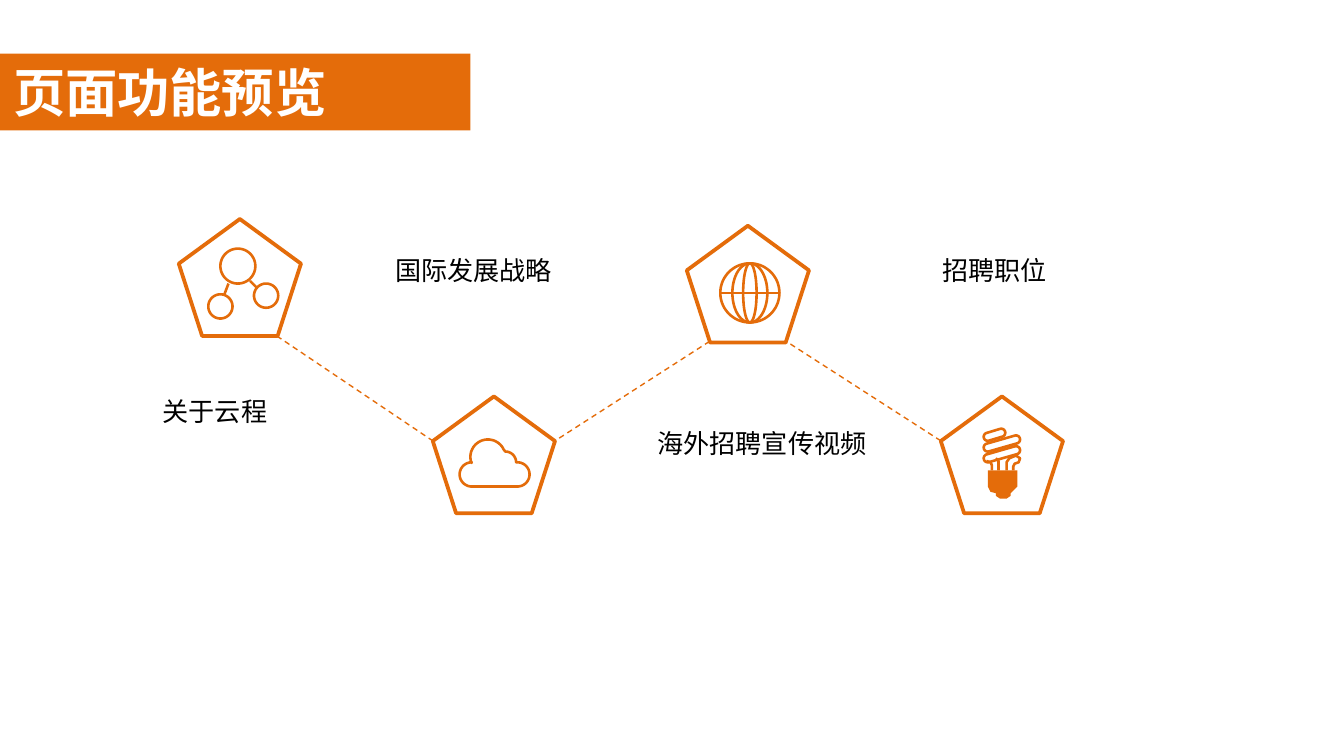
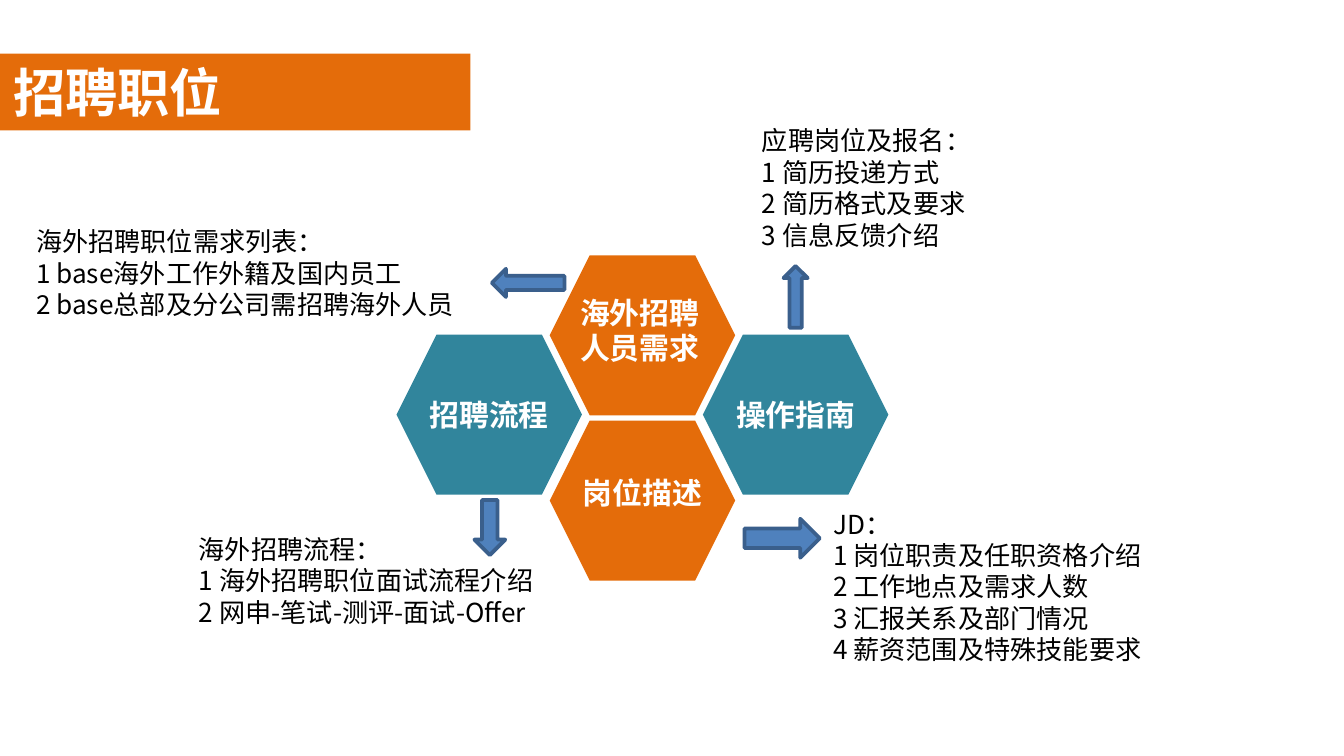
"""Builds two recruitment slides: a preview of page functions and the open positions."""
import dataclasses
import math

import lxml.etree
import pptx
import pptx.dml.color
import pptx.enum.dml
import pptx.enum.shapes
import pptx.enum.text
import pptx.oxml.ns
import pptx.util

Inches = pptx.util.Inches
SHAPE = pptx.enum.shapes.MSO_SHAPE
ALIGN = pptx.enum.text.PP_ALIGN


@dataclasses.dataclass(frozen=True)
class Theme:
    font: str = "Noto Sans CJK SC"
    orange: str = "E46C0A"
    teal: str = "31859C"
    blue: str = "4F81BD"
    navy: str = "3A5F8C"
    white: str = "FFFFFF"
    black: str = "000000"
    title: int = 28
    label: int = 16
    body: int = 14
    outline: float = 2
    icon: float = 1.4
    link: float = 0.75


theme = Theme()


def write(slide, text, box, size=theme.body, color=theme.black, bold=False,
          align=ALIGN.LEFT, wrap=True, indent=0.1):
    area = slide.shapes.add_textbox(*map(Inches, box))
    frame = area.text_frame
    frame.word_wrap = wrap
    frame.auto_size = pptx.enum.text.MSO_AUTO_SIZE.SHAPE_TO_FIT_TEXT
    frame.margin_left = Inches(indent)
    frame.text = text
    for paragraph in frame.paragraphs:
        paragraph.alignment = align
        for run in paragraph.runs:
            run.font.size = pptx.util.Pt(size)
            run.font.bold = bold
            run.font.color.rgb = pptx.dml.color.RGBColor.from_string(color)
            run.font.name = theme.font
            east_asian = lxml.etree.SubElement(
                run.font._element, pptx.oxml.ns.qn("a:ea"))
            east_asian.set("typeface", theme.font)


def paint(shape, fill=None, line=None, width=theme.outline):
    shape.shadow.inherit = False
    for part, color in ((shape.fill, fill), (shape.line.fill, line)):
        if color:
            part.solid()
            part.fore_color.rgb = pptx.dml.color.RGBColor.from_string(color)
        else:
            part.background()
    if line:
        shape.line.width = pptx.util.Pt(width)


presentation = pptx.Presentation()
presentation.slide_width = Inches(10)
presentation.slide_height = Inches(10) * 9 // 16

slides = []
for title, title_height in (("页面功能预览", 1.04), ("招聘职位", 0.57)):
    slide = presentation.slides.add_slide(presentation.slide_layouts[6])
    band = slide.shapes.add_shape(SHAPE.RECTANGLE, *map(Inches, (0, 0.4, 3.5, 0.57)))
    paint(band, theme.orange)
    write(slide, title, (0, 0.4, 3.5, title_height), theme.title, theme.white, bold=True)
    slides.append(slide)
preview, positions = slides

for left, top in ((1.33, 1.63), (3.22, 2.95), (5.11, 1.68), (7, 2.95)):
    pentagon = preview.shapes.add_shape(
        SHAPE.REGULAR_PENTAGON, *map(Inches, (left, top, 0.91, 0.87)))
    paint(pentagon, line=theme.orange)

molecule = [[(x, y, radius, radius, 0, 360)] for x, y, radius in (
    (1.77, 1.98, 0.13), (1.64, 2.28, 0.09), (1.98, 2.2, 0.09))]
molecule += [[(1.7, 2.11), (1.67, 2.19)], [(1.86, 2.09), (1.91, 2.14)]]
cloud = [[(3.51, 3.53, 0.09, 0.09, 90, 270), (3.63, 3.4, 0.13, 0.13, 160, 335),
          (3.76, 3.44, 0.08, 0.08, 270, 360), (3.85, 3.53, 0.09, 0.09, 270, 450)]]
globe = [[(5.58, 2.18, across, 0.22, 0, 360)] for across in (0.22, 0.13, 0.05)]
globe += [[(5.36, 2.18), (5.8, 2.18)]]
bulb = [[(right, y - rise, 0.03, 0.03, -106, 74), (7.35, y, 0.03, 0.03, 74, 254)]
        for right, y, rise in ((7.45, 3.25, 0.03), (7.56, 3.33, 0.06), (7.56, 3.41, 0.06))]
bulb += [
    [(7.34, 3.43), (7.37, 3.44), (7.38, 3.46), (7.38, 3.5)],
    [(7.41, 3.41), (7.43, 3.43), (7.43, 3.5)],
    [(7.49, 3.5), (7.49, 3.44), (7.51, 3.41), (7.56, 3.39), (7.59, 3.41),
     (7.58, 3.44), (7.55, 3.45), (7.54, 3.47), (7.54, 3.5)]]
bulb_base = [[(7.35, 3.5), (7.57, 3.5), (7.57, 3.62, 0, 0, 0, 0), (7.52, 3.67), (7.52, 3.69),
              (7.49, 3.71), (7.44, 3.71), (7.41, 3.69), (7.41, 3.67), (7.37, 3.66),
              (7.35, 3.62)]]

for icon, fill, line in (
        (molecule, None, theme.orange), (cloud, None, theme.orange),
        (globe, None, theme.orange), (bulb, None, theme.orange),
        (bulb_base, theme.orange, None)):
    builder = None
    for contour in icon:
        corners = []
        for x, y, *arc in contour:
            across, down, start, end = arc or (0, 0, 0, 0)
            for angle in range(start, end + 1, 5):
                turn = math.radians(angle)
                corners.append((Inches(x + across * math.cos(turn)),
                                Inches(y + down * math.sin(turn))))
        if builder:
            builder.move_to(*corners[0])
        else:
            builder = preview.shapes.build_freeform(*corners[0])
        builder.add_line_segments(corners[1:], close=bool(fill) or len(contour[0]) > 2)
    paint(builder.convert_to_shape(), fill, line, theme.icon)

for ends in ((2.06, 2.5, 3.22, 3.28), (5.28, 2.54, 4.13, 3.28), (7, 3.28, 5.85, 2.54)):
    link = preview.shapes.add_connector(
        pptx.enum.shapes.MSO_CONNECTOR.STRAIGHT, *map(Inches, ends))
    link.line.color.rgb = pptx.dml.color.RGBColor.from_string(theme.orange)
    link.line.width = pptx.util.Pt(theme.link)
    link.line.dash_style = pptx.enum.dml.MSO_LINE.DASH
    lxml.etree.SubElement(link._element.spPr, pptx.oxml.ns.qn("a:effectLst"))

for caption, left, top, height, indent in (
        ("关于云程", 0.72, 2.89, 0.57, 0.49),
        ("国际发展战略", 2.58, 1.84, 0.34, 0.36),
        ("海外招聘宣传视频", 4.71, 3.13, 0.34, 0.18),
        ("招聘职位", 6.83, 1.84, 0.34, 0.18)):
    write(preview, caption, (left, top, 2.13, height), indent=indent)

for left, top, color in (
        (4.09, 1.9, theme.orange), (2.95, 2.49, theme.teal),
        (4.09, 3.13, theme.orange), (5.23, 2.49, theme.teal)):
    hexagon = positions.shapes.add_shape(
        SHAPE.HEXAGON, *map(Inches, (left, top, 1.38, 1.19)))
    paint(hexagon, color)

for topic, box, wrap in (
        ("海外招聘人员需求", (4.15, 2.14, 1.22, 0.64), True),
        ("岗位描述", (4.23, 3.48, 1.1, 0.37), False),
        ("招聘流程", (3.09, 2.9, 1.1, 0.37), False),
        ("操作指南", (5.37, 2.9, 1.1, 0.37), False)):
    write(positions, topic, box, theme.label, theme.white, bold=True,
          align=ALIGN.CENTER, wrap=wrap)

for left, top, height, lines in (
        (0.17, 1.63, 0.81, (
            "海外招聘职位需求列表：", "1 base海外工作外籍及国内员工",
            "2 base总部及分公司需招聘海外人员")),
        (1.38, 3.92, 1.04, (
            "海外招聘流程：", "1 海外招聘职位面试流程介绍", "2 网申-笔试-测评-面试-Offer")),
        (5.57, 0.88, 1.04, (
            "应聘岗位及报名：", "1 简历投递方式", "2 简历格式及要求", "3 信息反馈介绍")),
        (6.1, 3.73, 1.28, (
            "JD：", "1 岗位职责及任职资格介绍", "2 工作地点及需求人数",
            "3 汇报关系及部门情况", "4 薪资范围及特殊技能要求"))):
    write(positions, "\n".join(lines), (left, top, 3.68, height))

for direction, box in (
        (SHAPE.LEFT_ARROW, (3.66, 2, 0.54, 0.21)),
        (SHAPE.DOWN_ARROW, (3.53, 3.72, 0.23, 0.41)),
        (SHAPE.RIGHT_ARROW, (5.54, 3.86, 0.56, 0.29)),
        (SHAPE.UP_ARROW, (5.83, 1.98, 0.18, 0.46))):
    arrow = positions.shapes.add_shape(direction, *map(Inches, box))
    paint(arrow, theme.blue, theme.navy)

presentation.save("out.pptx")
